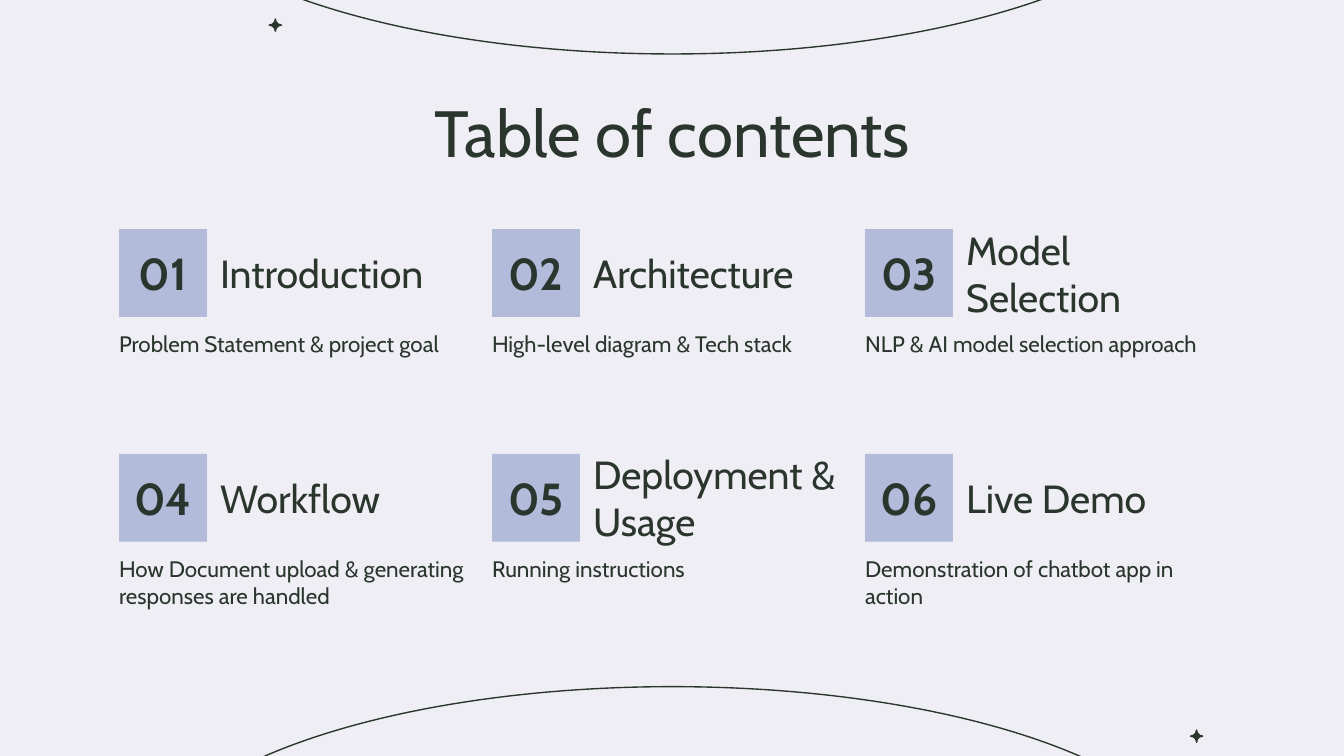
from dataclasses import dataclass

from pptx import Presentation
from pptx.dml.color import RGBColor
from pptx.enum import shapes, text
from pptx.util import Cm, Pt


@dataclass(frozen=True)
class Theme:
    font: str = "Cabin"
    paper: RGBColor = RGBColor(0xEF, 0xEE, 0xF4)
    ink: RGBColor = RGBColor(0x2A, 0x36, 0x2D)
    badge: RGBColor = RGBColor(0xB2, 0xBB, 0xDA)
    title: Pt = Pt(35)
    number: Pt = Pt(24)
    heading: Pt = Pt(21)
    body: Pt = Pt(12)
    line: Pt = Pt(0.75)


theme = Theme()
SECTIONS = [
    ("Introduction", "Problem Statement & project goal"),
    ("Architecture", "High-level diagram & Tech stack"),
    ("Model Selection", "NLP & AI model selection approach"),
    ("Workflow", "How Document upload & generating responses are handled"),
    ("Deployment & Usage", "Running instructions"),
    ("Live Demo", "Demonstration of chatbot app in action"),
]
COLUMNS = 3
LEFT, TOP = Cm(2.25), Cm(4.33)
COLUMN_STEP, ROW_STEP = Cm(7.05), Cm(4.25)
BADGE = Cm(1.66)
INSET = Cm(0.25)


def add_shape(kind, x, y, w, h, fill=None, line=None):
    sp = s.shapes.add_shape(kind, x, y, w, h)
    sp.shadow.inherit = False
    if fill is None:
        sp.fill.background()
    else:
        sp.fill.solid()
        sp.fill.fore_color.rgb = fill
    if line is None:
        sp.line.fill.background()
    else:
        sp.line.color.rgb = line
        sp.line.width = theme.line
    return sp


def write(sp, words, size, align=text.PP_ALIGN.LEFT,
          anchor=text.MSO_ANCHOR.MIDDLE, bold=False):
    tf = sp.text_frame
    tf.text = words
    tf.word_wrap = True
    tf.vertical_anchor = anchor
    tf.margin_left = tf.margin_right = tf.margin_top = tf.margin_bottom = INSET
    p = tf.paragraphs[0]
    p.alignment = align
    font = p.runs[0].font
    font.name, font.size, font.bold = theme.font, size, bold
    font.color.rgb = theme.ink


prs = Presentation()
prs.slide_width, prs.slide_height = Cm(25.4), Cm(14.29)
s = prs.slides.add_slide(prs.slide_layouts[6])
s.background.fill.solid()
s.background.fill.fore_color.rgb = theme.paper

# Arcs that run off the top and bottom edges
for y in (-6.3, 12.98):
    add_shape(shapes.MSO_SHAPE.OVAL, Cm(2.67), Cm(y), Cm(20.07), Cm(7.32),
              line=theme.ink)

# Sparkles
for x, y in ((5.09, 0.36), (22.5, 13.8)):
    sp = add_shape(shapes.MSO_SHAPE.PLAQUE, Cm(x), Cm(y), Cm(0.23), Cm(0.23),
                   fill=theme.ink, line=theme.ink)
    sp.adjustments[0] = 0.5

# Title
sp = s.shapes.add_textbox(Cm(2), Cm(1.5), Cm(21.4), Cm(1.6))
write(sp, "Table of contents", theme.title, text.PP_ALIGN.CENTER,
      text.MSO_ANCHOR.TOP)

# Numbered sections
for i, (heading, description) in enumerate(SECTIONS):
    row, column = divmod(i, COLUMNS)
    x = LEFT + column * COLUMN_STEP
    y = TOP + row * ROW_STEP

    sp = add_shape(shapes.MSO_SHAPE.RECTANGLE, x, y, BADGE, BADGE,
                   fill=theme.badge)
    write(sp, f"{i + 1:02}", theme.number, text.PP_ALIGN.CENTER, bold=True)

    sp = s.shapes.add_textbox(x + BADGE, y, Cm(5.38), BADGE)
    write(sp, heading, theme.heading)

    sp = s.shapes.add_textbox(x - INSET, y + BADGE, Cm(7.06), Cm(1.35))
    write(sp, description, theme.body, anchor=text.MSO_ANCHOR.TOP)

prs.save("out.pptx")
